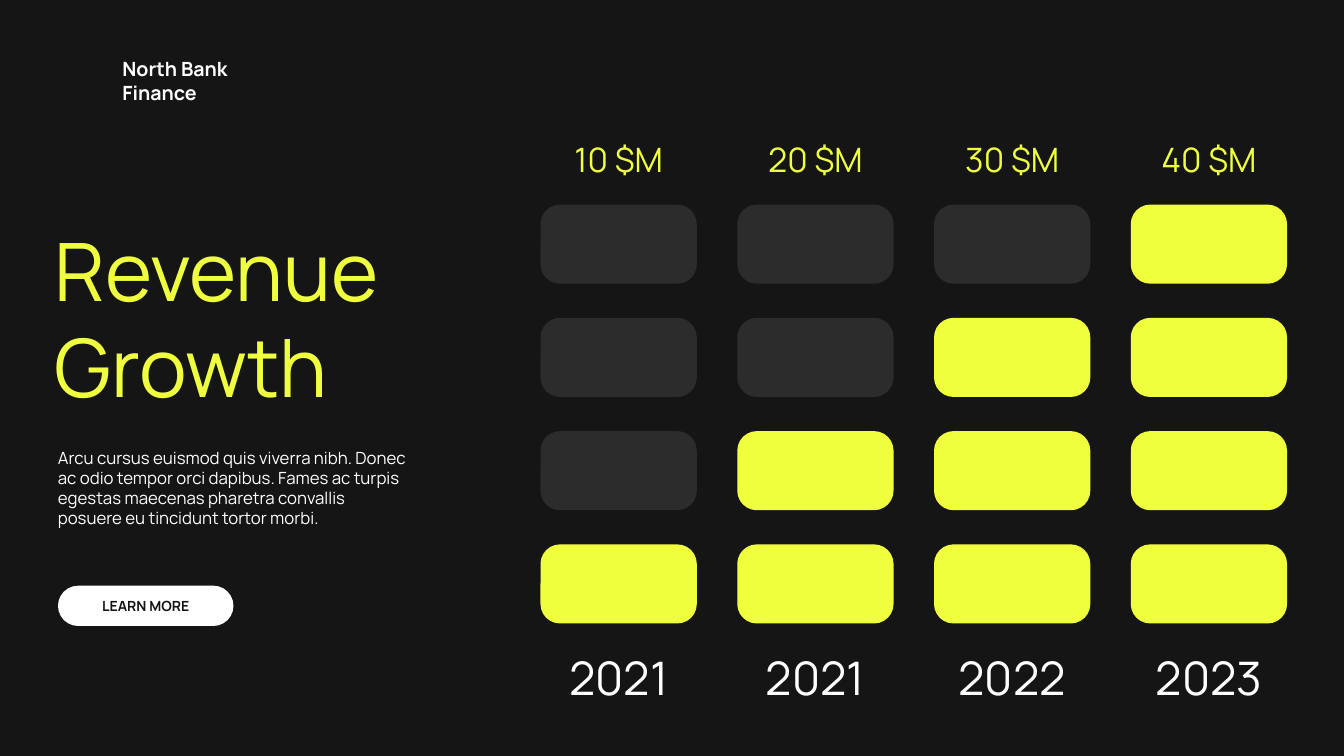
from pptx import Presentation
from pptx.dml.color import RGBColor
from pptx.enum import shapes, text
from pptx.util import Pt

DARK = RGBColor(0x15, 0x15, 0x15)
GREY = RGBColor(0x2C, 0x2C, 0x2C)
LIME = RGBColor(0xF0, 0xFF, 0x3D)
TITLE_LIME = RGBColor(0xEF, 0xFF, 0x3D)
WHITE = RGBColor(0xFF, 0xFF, 0xFF)
FONT = "Manrope"

COLUMNS = [("10 $M", "2021", 1), ("20 $M", "2021", 2),
           ("30 $M", "2022", 3), ("40 $M", "2023", 4)]
BODY = ["Arcu cursus euismod quis viverra nibh. Donec",
        "ac odio tempor orci dapibus. Fames ac turpis",
        "egestas maecenas pharetra convallis",
        "posuere eu tincidunt tortor morbi."]


def write(sp, lines, size, color, bold=False, align=text.PP_ALIGN.LEFT,
          anchor=text.MSO_ANCHOR.TOP):
    """Fill a shape with one formatted paragraph per line."""
    tf = sp.text_frame
    tf.word_wrap = True
    tf.vertical_anchor = anchor
    for i, line in enumerate(lines):
        p = tf.paragraphs[0] if i == 0 else tf.add_paragraph()
        p.alignment = align
        r = p.add_run()
        r.text = line
        r.font.name = FONT
        r.font.size = Pt(size)
        r.font.bold = bold
        r.font.color.rgb = color


def add_text(slide, x, y, w, h, lines, **fmt):
    """Add a text box with the given lines and format."""
    sp = slide.shapes.add_textbox(Pt(x), Pt(y), Pt(w), Pt(h))
    write(sp, lines, **fmt)


def add_rounded(slide, x, y, w, h, radius, fill):
    """Add a plain rounded rectangle."""
    sp = slide.shapes.add_shape(shapes.MSO_SHAPE.ROUNDED_RECTANGLE,
                                Pt(x), Pt(y), Pt(w), Pt(h))
    sp.adjustments[0] = radius
    sp.shadow.inherit = False
    sp.fill.solid()
    sp.fill.fore_color.rgb = fill
    sp.line.fill.background()
    return sp


def add_intro(slide, x, y, w):
    """Place the company name, title, body text and button."""
    add_text(slide, x + 97.2, y, 221, 74.9, ["North Bank", "Finance"],
             size=28, color=WHITE, bold=True)
    add_text(slide, x, y + 234, w, 285.8, ["Revenue", "Growth"],
             size=115, color=TITLE_LIME)
    add_text(slide, x + 5, y + 558, w - 5, 123.8, BODY, size=24, color=WHITE)
    button = add_rounded(slide, x + 12.2, y + 758.9, 250.6, 57.6, 0.5, WHITE)
    write(button, ["LEARN MORE"], size=20, color=DARK, bold=True,
          align=text.PP_ALIGN.CENTER, anchor=text.MSO_ANCHOR.MIDDLE)


def add_block_chart(slide, x, y, w, h):
    """Place the columns of blocks with an amount above and a year below."""
    block_w, block_h, top, bottom = 223.2, 113, 97.9, 120.2
    rows = len(COLUMNS)
    step_x = (w - block_w) / (len(COLUMNS) - 1)
    step_y = (h - top - bottom - block_h) / (rows - 1)
    center = text.PP_ALIGN.CENTER
    for col, (amount, year, filled) in enumerate(COLUMNS):
        left = x + col * step_x
        add_text(slide, left, y, block_w, 65.5, [amount],
                 size=48, color=LIME, align=center)
        for row in range(rows):
            fill = LIME if row >= rows - filled else GREY
            add_rounded(slide, left, y + top + row * step_y,
                        block_w, block_h, 0.246, fill)
        add_text(slide, left, y + h - 87.1, block_w, 87.1, [year],
                 size=66, color=WHITE, align=center)


def main():
    """Build and save the revenue growth slide."""
    prs = Presentation()
    prs.slide_width, prs.slide_height = Pt(1919.52), Pt(1080)
    slide = prs.slides.add_slide(prs.slide_layouts[6])
    slide.background.fill.solid()
    slide.background.fill.fore_color.rgb = DARK
    add_intro(slide, 70.6, 77.8, 702)
    add_block_chart(slide, 772, 194.4, 1066.2, 816.5)
    prs.save("out.pptx")


if __name__ == "__main__":
    main()
